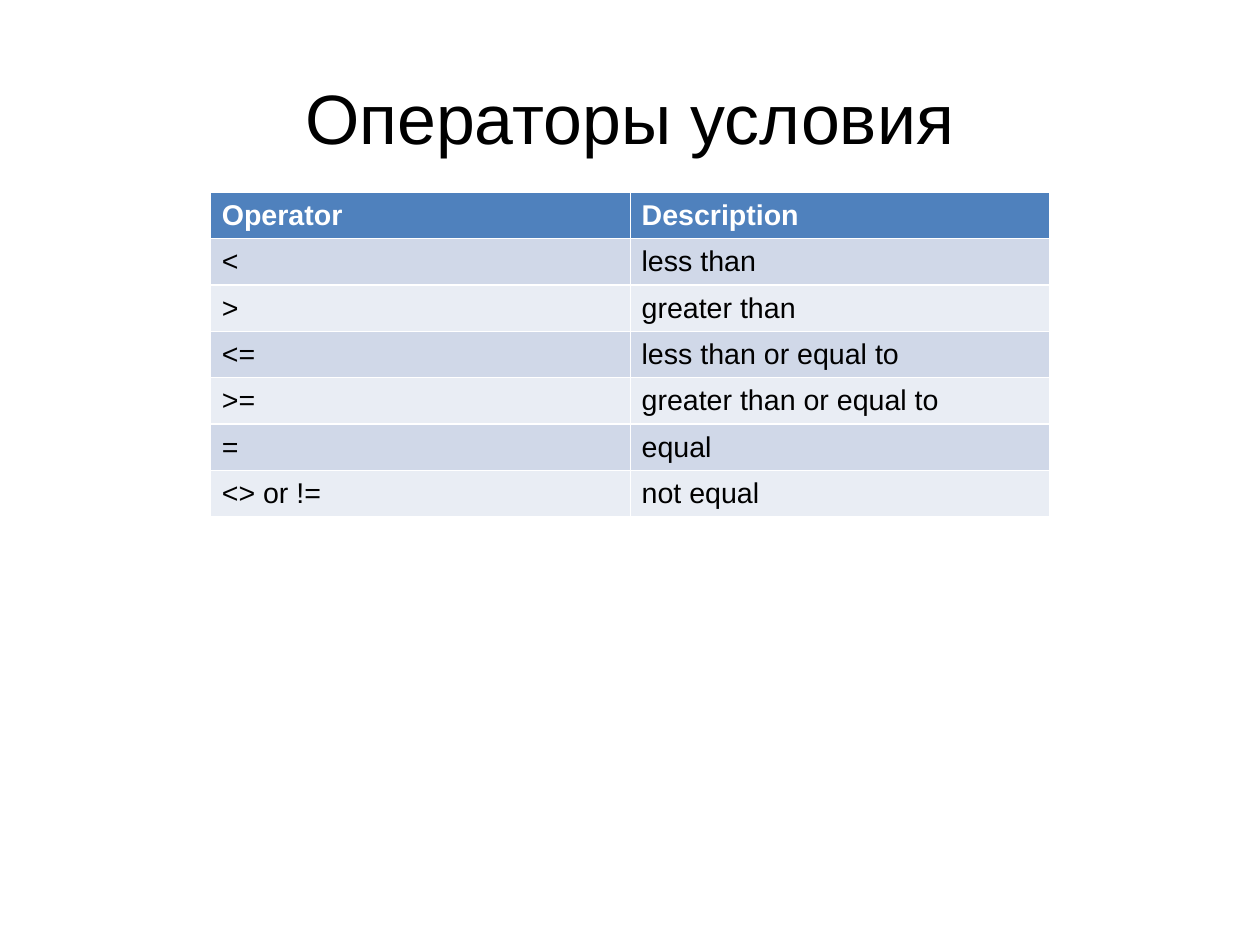
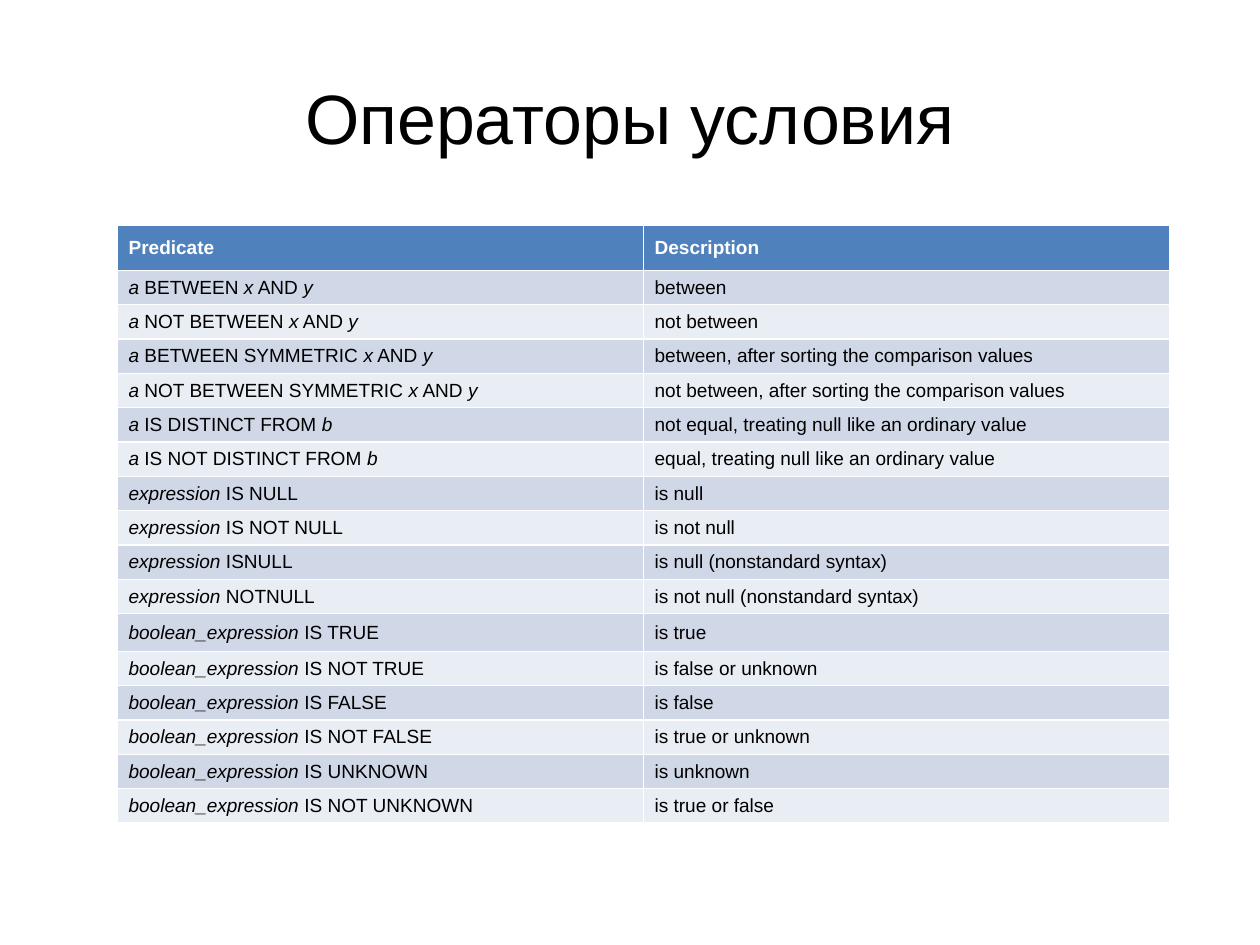
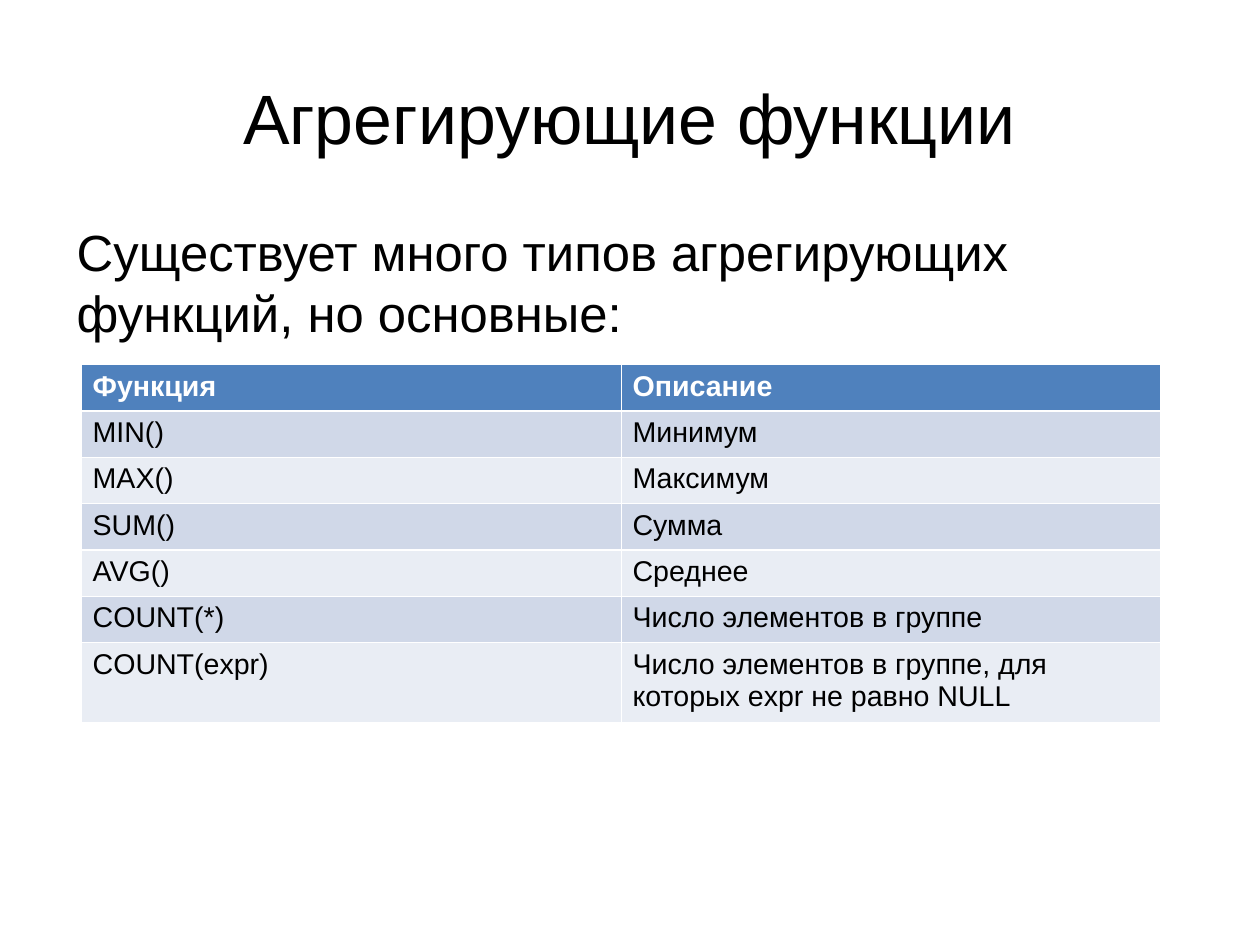
import pptx
import pptx.util
import pptx.dml.color
import pptx.enum.text

WIDE, HIGH = pptx.util.Cm(28), pptx.util.Cm(21)
HUES = {"ink": "000000", "head": "4F81BD", "odd": "D0D8E8",
        "even": "E9EDF4", "label": "FFFFFF", "page": "FFFFFF"}
FONT = "Arial"
MID = pptx.enum.text.MSO_ANCHOR.MIDDLE
TOP = pptx.enum.text.MSO_ANCHOR.TOP
TITLE = (5, 4, 90, 16.7)
BODY = (5, 23.34, 90, 57.9)

SIGNS = [
    ("Operator", "Description"),
    ("<", "less than"),
    (">", "greater than"),
    ("<=", "less than or equal to"),
    (">=", "greater than or equal to"),
    ("=", "equal"),
    ("<> or !=", "not equal"),
]
TESTS = [
    ("Predicate", "Description"),
    ("|a| BETWEEN |x| AND |y|", "between"),
    ("|a| NOT BETWEEN |x| AND |y|", "not between"),
    ("|a| BETWEEN SYMMETRIC |x| AND |y|",
     "between, after sorting the comparison values"),
    ("|a| NOT BETWEEN SYMMETRIC |x| AND |y|",
     "not between, after sorting the comparison values"),
    ("|a| IS DISTINCT FROM |b|",
     "not equal, treating null like an ordinary value"),
    ("|a| IS NOT DISTINCT FROM |b|",
     "equal, treating null like an ordinary value"),
    ("|expression| IS NULL", "is null"),
    ("|expression| IS NOT NULL", "is not null"),
    ("|expression| ISNULL", "is null (nonstandard syntax)"),
    ("|expression| NOTNULL", "is not null (nonstandard syntax)"),
    ("|boolean_expression| IS TRUE", "is true"),
    ("|boolean_expression| IS NOT TRUE", "is false or unknown"),
    ("|boolean_expression| IS FALSE", "is false"),
    ("|boolean_expression| IS NOT FALSE", "is true or unknown"),
    ("|boolean_expression| IS UNKNOWN", "is unknown"),
    ("|boolean_expression| IS NOT UNKNOWN", "is true or false"),
]
SUMS = [
    ("Функция", "Описание"),
    ("MIN()", "Минимум"),
    ("MAX()", "Максимум"),
    ("SUM()", "Сумма"),
    ("AVG()", "Среднее"),
    ("COUNT(*)", "Число элементов в группе"),
    ("COUNT(expr)", "Число элементов в группе, для которых expr не равно NULL"),
]


def tint(name):
    """Return the named colour."""
    return pptx.dml.color.RGBColor.from_string(HUES[name])


def style(part, form):
    """Set each attribute in the format dict."""
    for key, value in form.items():
        setattr(part, key, value)


def place(box):
    """Turn a box in hundredths of the slide into lengths."""
    return [pptx.util.Emu(round(share * side / 100))
            for share, side in zip(box, (WIDE, HIGH) * 2)]


def write(para, text, size, hue="ink", bold=False):
    """Write text in which parts between bars are italic."""
    for num, part in enumerate(text.split("|")):
        if part:
            run = para.add_run()
            run.text = part
            style(run.font, {"name": FONT, "size": pptx.util.Pt(size),
                             "bold": bold, "italic": num % 2 == 1})
            run.font.color.rgb = tint(hue)


def block(slide, box, text, size, anchor, form):
    """Add a text box without margins and return its paragraph."""
    frame = slide.shapes.add_textbox(*place(box)).text_frame
    style(frame, {"word_wrap": True, "vertical_anchor": anchor,
                  "margin_left": 0, "margin_right": 0,
                  "margin_top": 0, "margin_bottom": 0})
    para = frame.paragraphs[0]
    style(para, form)
    write(para, text, size)
    return para


def grid(slide, box, data, size, anchor, tall=None):
    """Add a banded table with equal columns."""
    count, wide = len(data), len(data[0])
    left, top, width, height = place(box)
    table = slide.shapes.add_table(count, wide, left, top, width, height).table
    for col in table.columns:
        col.width = width // wide
    rows = tall or [box[3] / count] * count
    for num, (row, share) in enumerate(zip(table.rows, rows)):
        row.height = place((0, 0, 0, share))[3]
        head = num == 0
        band = "head" if head else "odd" if num % 2 else "even"
        for cell, text in zip(row.cells, data[num]):
            cell.fill.solid()
            cell.fill.fore_color.rgb = tint(band)
            cell.vertical_anchor = anchor
            write(cell.text_frame.paragraphs[0], text, size,
                  "label" if head else "ink", head)


def page(deck, title):
    """Add a blank slide with the shared title."""
    slide = deck.slides.add_slide(deck.slide_layouts[6])
    slide.background.fill.solid()
    slide.background.fill.fore_color.rgb = tint("page")
    block(slide, TITLE, title, 44, MID,
          {"alignment": pptx.enum.text.PP_ALIGN.CENTER})
    return slide


def lead(slide, text):
    """Add the indented lead text."""
    para = block(slide, BODY, text, 32, TOP,
                 {"space_before": pptx.util.Pt(14.2)})
    props = para._p.get_or_add_pPr()
    props.set("marL", str(pptx.util.Inches(0.12)))
    props.set("indent", "0")


def main():
    """Build and save the slides."""
    deck = pptx.Presentation()
    deck.slide_width = WIDE
    deck.slide_height = HIGH
    grid(page(deck, "Операторы условия"), (16.7, 20.35, 66.64, 34.34),
         SIGNS, 18, MID)
    tall = [4.75] + [3.4] * 10 + [4] + [3.4] * 5
    grid(page(deck, "Операторы условия"), (9.3, 23.85, 83.5, sum(tall)),
         TESTS, 12, MID, tall)
    slide = page(deck, "Агрегирующие функции")
    lead(slide, "Существует много типов агрегирующих функций, но основные:")
    grid(slide, (6.45, 38.57, 85.7, 34.34), SUMS, 18, TOP)
    deck.save("out.pptx")


if __name__ == "__main__":
    main()
